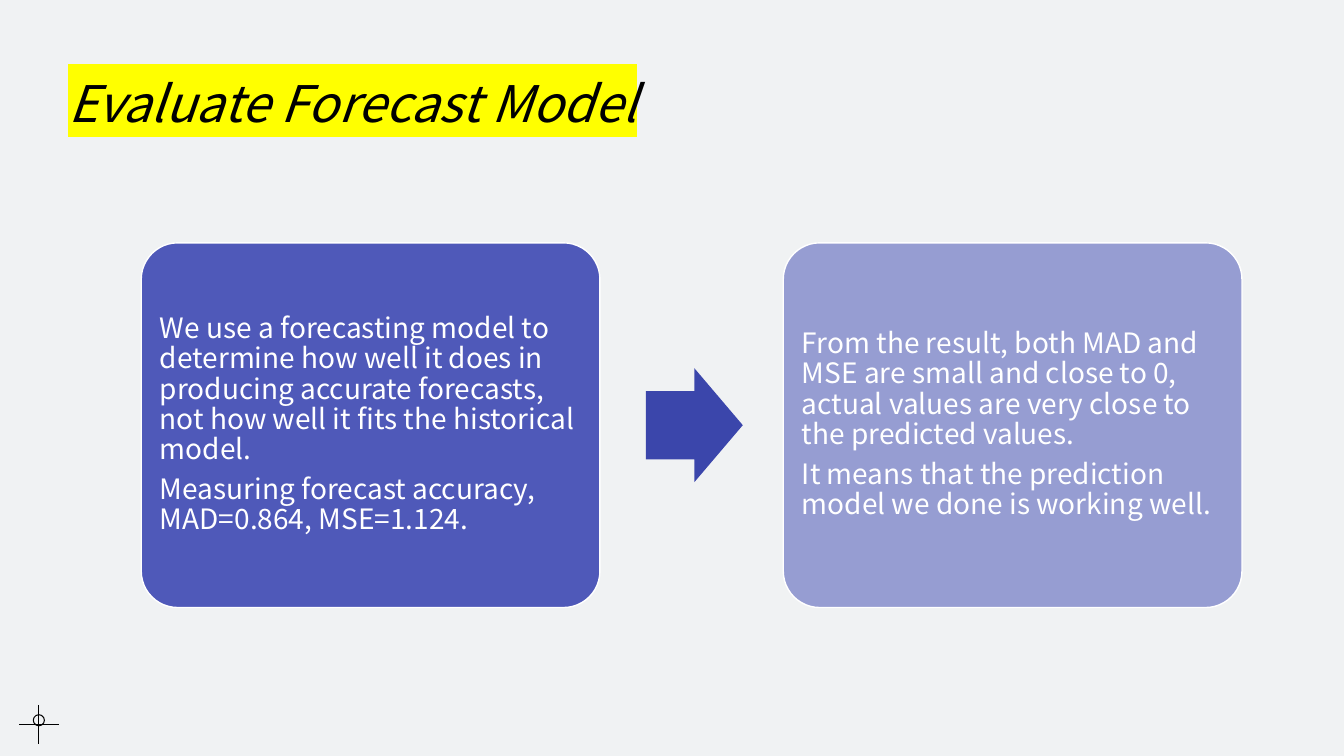
"""Builds the forecast model evaluation slide."""
from lxml import etree
from pptx import Presentation
from pptx import util as u
from pptx.dml.color import RGBColor
from pptx.enum import shapes, text
from pptx.oxml.ns import qn

TITLE = "Evaluate Forecast Model"
CARDS = [
    (90, ["We use a forecasting model to determine how well it does in producing "
          "accurate forecasts, not how well it fits the historical model.",
          "Measuring forecast accuracy, MAD=0.864, MSE=1.124."]),
    (50, ["From the result, both MAD and MSE are small and close to 0, actual "
          "values are very close to the predicted values.",
          "It means that the prediction model we done is working well."]),
]
FONT = "Noto Sans CJK SC"
COLORS = {"background": "F0F2F3", "ink": "000000", "marker": "FFFF00",
          "card": "3E49B3", "arrow": "3B46AB", "white": "FFFFFF"}

CARD_LEFT, CARD_TOP, CARD_WIDTH, CARD_HEIGHT = 3.56, 6.12, 11.56, 9.19
CARD_STEP = 16.18
ARROW_LEFT, ARROW_WIDTH, ARROW_HEIGHT = 16.28, 2.44, 2.87
CROSS_X, CROSS_Y, CROSS_ARM = 0.98, 18.26, 0.5
RING_Y, RING_SIZE = 18.15, 0.28


def color(name):
    return RGBColor.from_string(COLORS[name])


def box(left, top, width, height):
    return u.Cm(left), u.Cm(top), u.Cm(width), u.Cm(height)


def add_run(paragraph, words, size, ink):
    run = paragraph.add_run()
    run.text = words
    run.font.size = u.Pt(size)
    run.font.name = FONT
    run.font.color.rgb = color(ink)
    return run


def add_shape(slide, kind, place, fill=None, line=None, width=1):
    shape = slide.shapes.add_shape(kind, *box(*place))
    shape.shadow.inherit = False
    if fill:
        shape.fill.solid()
        shape.fill.fore_color.rgb = color(fill)
    else:
        shape.fill.background()
    if line:
        shape.line.color.rgb = color(line)
        shape.line.width = u.Pt(width)
    else:
        shape.line.fill.background()
    return shape


def add_title(slide):
    title = slide.shapes.add_textbox(*box(1.47, 0.86, 16.66, 3.12)).text_frame
    title.word_wrap = True
    title.vertical_anchor = text.MSO_ANCHOR.MIDDLE
    title.paragraphs[0].line_spacing = 1.2
    run = add_run(title.paragraphs[0], TITLE, 36, "ink")
    run.font.italic = True
    highlight = etree.Element(qn("a:highlight"))
    etree.SubElement(highlight, qn("a:srgbClr"), val=COLORS["marker"])
    run.font._element.find(qn("a:solidFill")).addnext(highlight)


def add_card(slide, left, opacity, sentences):
    card = add_shape(slide, shapes.MSO_SHAPE.ROUNDED_RECTANGLE,
                     (left, CARD_TOP, CARD_WIDTH, CARD_HEIGHT), "card", "white")
    card.adjustments[0] = 0.1
    tint = card._element.spPr.find(qn("a:solidFill")).find(qn("a:srgbClr"))
    etree.SubElement(tint, qn("a:alpha"), val=str(opacity * 1000))
    frame = card.text_frame
    frame.word_wrap = True
    frame.vertical_anchor = text.MSO_ANCHOR.MIDDLE
    frame.margin_left = frame.margin_right = u.Cm(0.2)
    frame.margin_top = frame.margin_bottom = u.Cm(0.2)
    for index, sentence in enumerate(sentences):
        paragraph = frame.add_paragraph() if index else frame.paragraphs[0]
        paragraph.alignment = text.PP_ALIGN.LEFT
        paragraph.line_spacing = 0.9
        paragraph.space_after = u.Pt(7)
        add_run(paragraph, sentence, 20, "white")


def add_crosshair(slide):
    for dx, dy in [(CROSS_ARM, 0), (0, CROSS_ARM)]:
        hair = slide.shapes.add_connector(
            shapes.MSO_CONNECTOR.STRAIGHT,
            *box(CROSS_X - dx, CROSS_Y - dy, CROSS_X + dx, CROSS_Y + dy))
        hair.line.color.rgb = color("ink")
        hair.line.width = u.Pt(0.75)
        etree.SubElement(hair._element.spPr, qn("a:effectLst"))
    add_shape(slide, shapes.MSO_SHAPE.OVAL,
              (CROSS_X - RING_SIZE / 2, RING_Y - RING_SIZE / 2, RING_SIZE, RING_SIZE),
              line="ink", width=0.75)


def main():
    deck = Presentation()
    deck.slide_width, deck.slide_height = u.Cm(33.87), u.Cm(19.05)
    slide = deck.slides.add_slide(deck.slide_layouts[6])
    slide.background.fill.solid()
    slide.background.fill.fore_color.rgb = color("background")

    add_title(slide)
    add_crosshair(slide)
    for index, (opacity, sentences) in enumerate(CARDS):
        add_card(slide, CARD_LEFT + index * CARD_STEP, opacity, sentences)
    arrow_top = CARD_TOP + (CARD_HEIGHT - ARROW_HEIGHT) / 2
    arrow = add_shape(slide, shapes.MSO_SHAPE.RIGHT_ARROW,
                      (ARROW_LEFT, arrow_top, ARROW_WIDTH, ARROW_HEIGHT), "arrow")
    arrow.adjustments[0] = 0.6
    arrow.adjustments[1] = 0.5
    deck.save("out.pptx")


if __name__ == "__main__":
    main()
